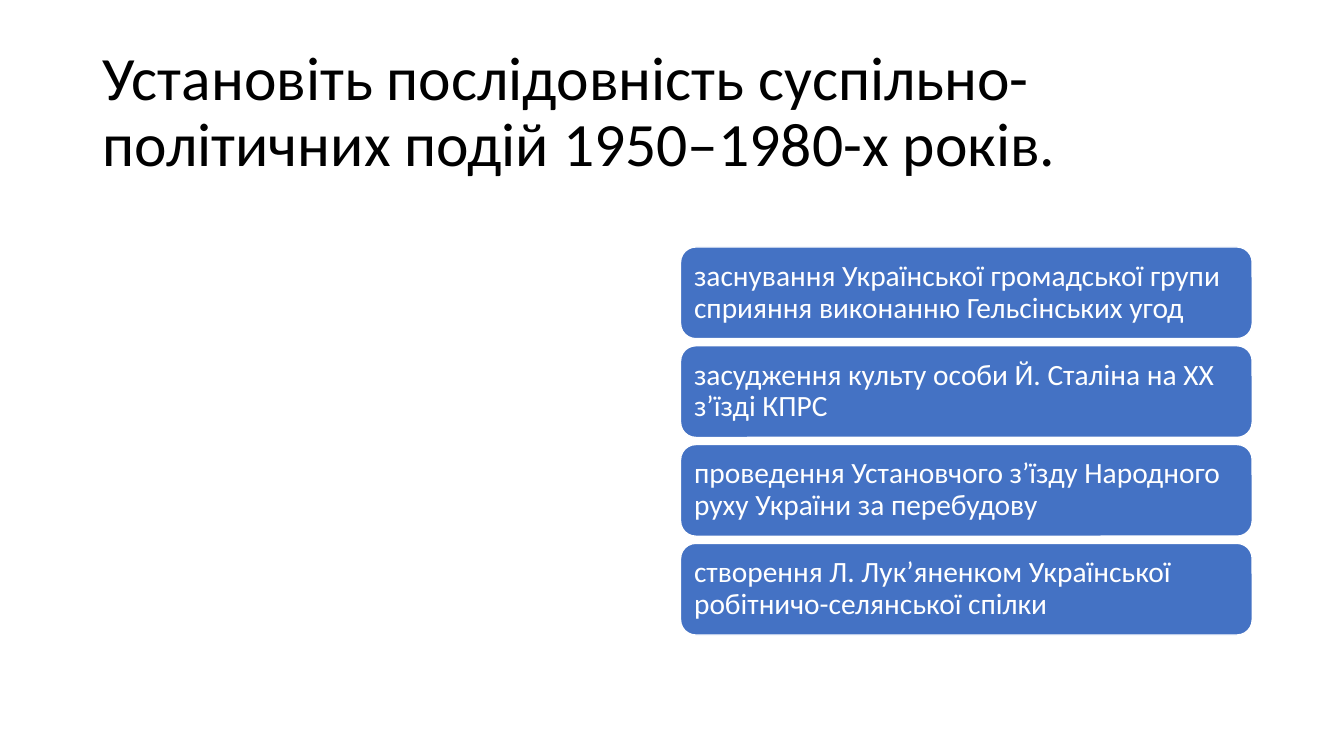
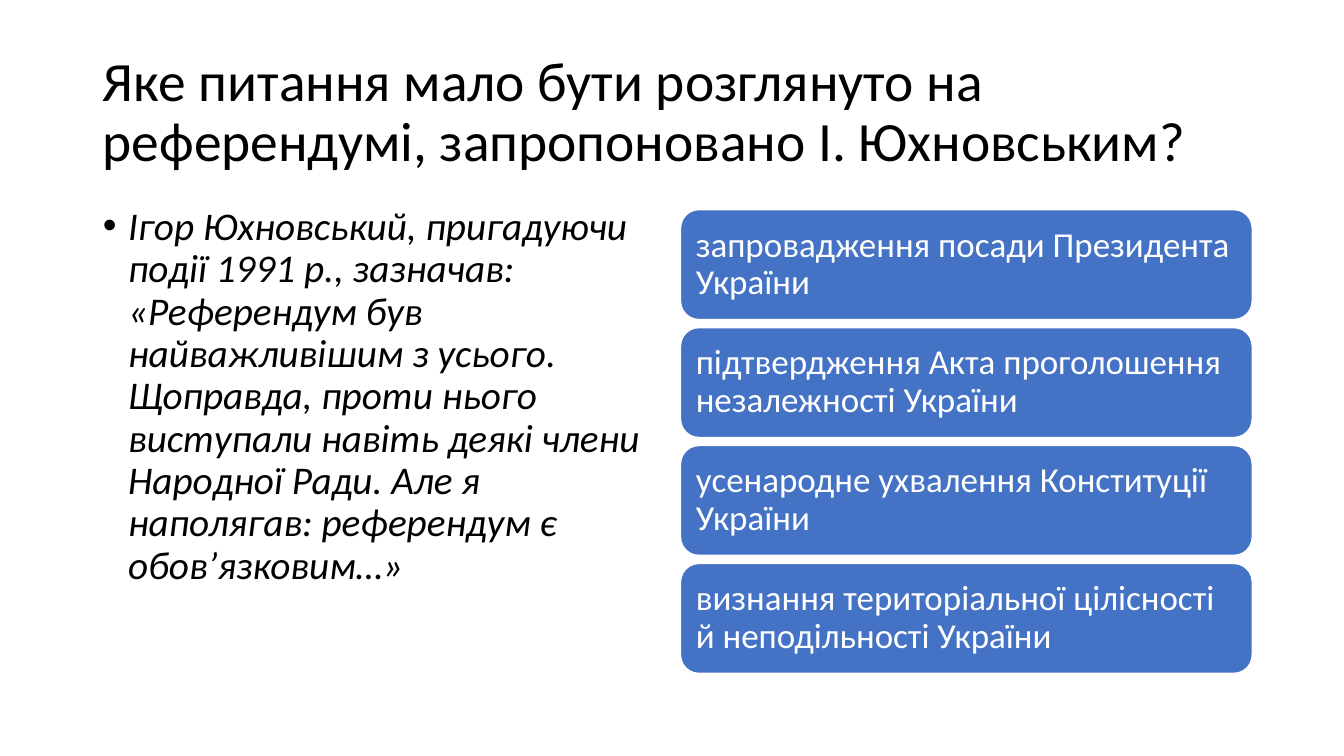
import dataclasses

import pptx
import pptx.dml.color
import pptx.enum.shapes
import pptx.enum.text
import pptx.util
from lxml import etree
from pptx.oxml.ns import qn

Inches = pptx.util.Inches
Pt = pptx.util.Pt
MSO_ANCHOR = pptx.enum.text.MSO_ANCHOR


@dataclasses.dataclass(frozen=True)
class Theme:
    font: str = "Calibri"
    ink: str = "000000"
    paper: str = "FFFFFF"
    accent: str = "4472C4"
    title_size: float = 44
    long_title_size: float = 39.6
    body_size: float = 28
    event_size: float = 21
    option_size: float = 25
    line_spacing: float = 0.9


class Deck:
    """Holds the style and the slide being built."""

    TITLE_ONLY, TITLE_AND_CONTENT = 5, 1

    def __init__(self, theme):
        self.theme = theme
        self.show = pptx.Presentation()
        self.show.slide_width = Inches(13.33)
        self.show.slide_height = Inches(7.5)
        self.slide = None

    def color(self, value):
        return pptx.dml.color.RGBColor.from_string(value)

    def place(self, shape, left, top, width, height):
        shape.left, shape.top = Inches(left), Inches(top)
        shape.width, shape.height = Inches(width), Inches(height)

    def set_text(self, shape, text, size, color, anchor, italic=False):
        frame = shape.text_frame
        frame.text = text
        frame.word_wrap = True
        frame.auto_size = pptx.enum.text.MSO_AUTO_SIZE.NONE
        frame.vertical_anchor = anchor
        paragraph = frame.paragraphs[0]
        paragraph.alignment = pptx.enum.text.PP_ALIGN.LEFT
        paragraph.line_spacing = self.theme.line_spacing
        paragraph.space_before = Pt(0)
        for run in paragraph.runs:
            run.font.name = self.theme.font
            run.font.size = Pt(size)
            run.font.italic = italic
            run.font.color.rgb = self.color(color)
        return paragraph

    def new_slide(self, layout, title, size):
        self.slide = self.show.slides.add_slide(self.show.slide_layouts[layout])
        heading = self.slide.shapes.title
        self.place(heading, 0.92, 0.4, 11.5, 1.45)
        self.set_text(heading, title, size, self.theme.ink, MSO_ANCHOR.MIDDLE)

    def quote(self, text):
        body = self.slide.placeholders[1]
        self.place(body, 0.92, 2, 5.67, 4.76)
        paragraph = self.set_text(body, text, self.theme.body_size, self.theme.ink,
                                  MSO_ANCHOR.TOP, italic=True)
        # Hanging bullet
        properties = paragraph._p.get_or_add_pPr()
        properties.set("marL", str(Inches(0.25)))
        properties.set("indent", str(Inches(-0.25)))
        etree.SubElement(properties, qn("a:buChar")).set("char", "•")

    def cards(self, texts, top, height, pitch, size, inset):
        for index, text in enumerate(texts):
            card = self.slide.shapes.add_shape(
                pptx.enum.shapes.MSO_SHAPE.ROUNDED_RECTANGLE,
                Inches(6.75), Inches(top + index * pitch), Inches(5.67), Inches(height))
            card.shadow.inherit = False
            card.fill.solid()
            card.fill.fore_color.rgb = self.color(self.theme.accent)
            card.line.color.rgb = self.color(self.theme.paper)
            card.line.width = Pt(1)
            frame = card.text_frame
            frame.margin_left = frame.margin_right = Inches(inset)
            frame.margin_top = frame.margin_bottom = Inches(inset)
            self.set_text(card, text, size, self.theme.paper, MSO_ANCHOR.MIDDLE)


def main():
    theme = Theme()
    deck = Deck(theme)

    # Sequence of events
    deck.new_slide(
        Deck.TITLE_ONLY,
        "Установіть послідовність суспільно-політичних подій 1950–1980-х років.",
        theme.title_size)
    events = [
        "заснування Української громадської групи сприяння виконанню Гельсінських угод",
        "засудження культу особи Й. Сталіна на XX з’їзді КПРС",
        "проведення Установчого з’їзду Народного руху України за перебудову",
        "створення Л. Лук’яненком Української робітничо-селянської спілки",
    ]
    deck.cards(events, top=2.45, height=0.91, pitch=0.98,
               size=theme.event_size, inset=0.09)

    # Referendum question
    deck.new_slide(
        Deck.TITLE_AND_CONTENT,
        "Яке питання мало бути розглянуто на референдумі, запропоновано І. Юхновським?",
        theme.long_title_size)
    deck.quote(
        "Ігор Юхновський, пригадуючи події 1991 р., зазначав: «Референдум був "
        "найважливішим з усього. Щоправда, проти нього виступали навіть деякі члени "
        "Народної Ради. Але я наполягав: референдум є обов’язковим…»")
    options = [
        "запровадження посади Президента України",
        "підтвердження Акта проголошення незалежності України",
        "усенародне ухвалення Конституції України",
        "визнання територіальної цілісності й неподільності України",
    ]
    deck.cards(options, top=2.08, height=1.09, pitch=1.17,
               size=theme.option_size, inset=0.1)

    deck.show.save("out.pptx")


if __name__ == "__main__":
    main()
